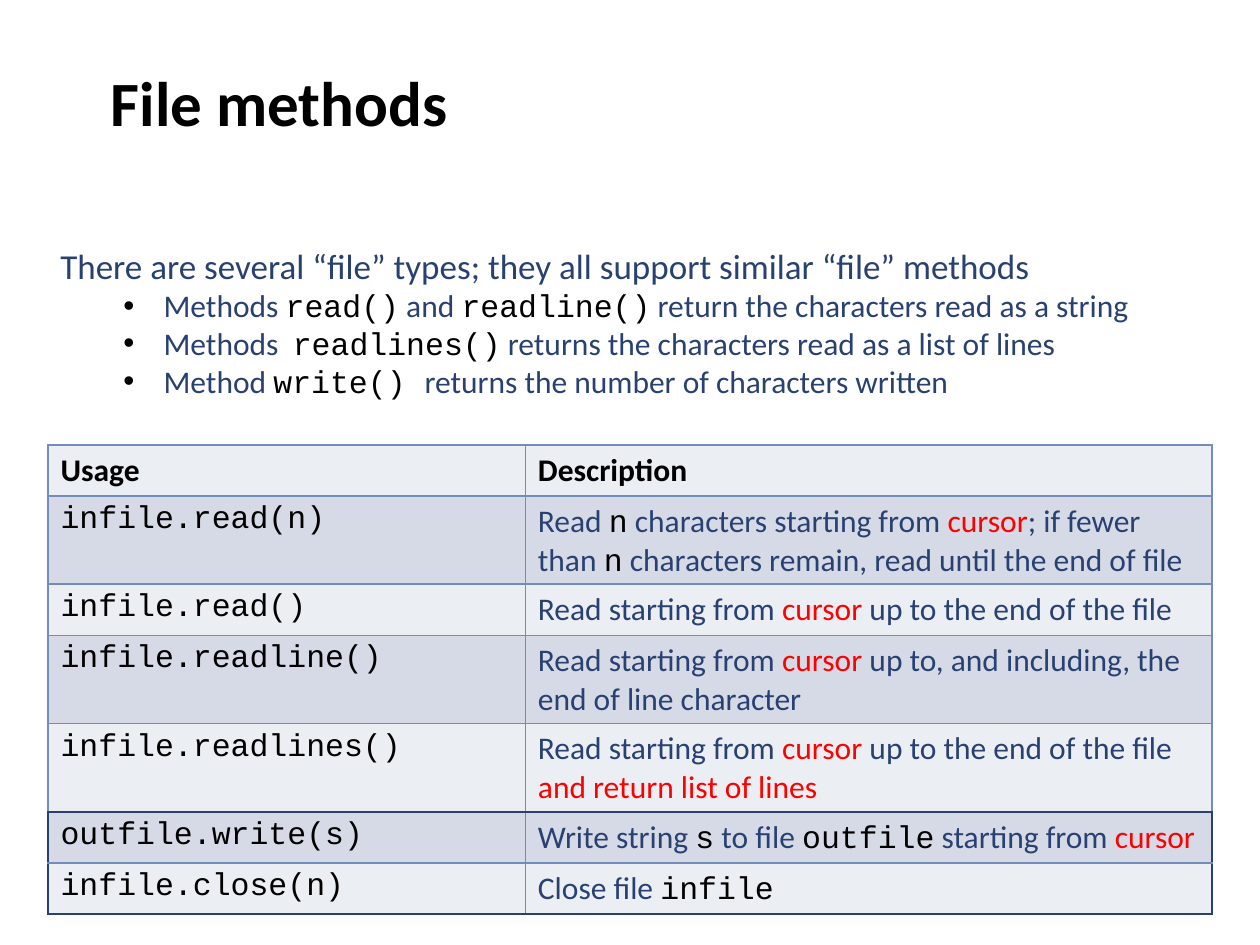
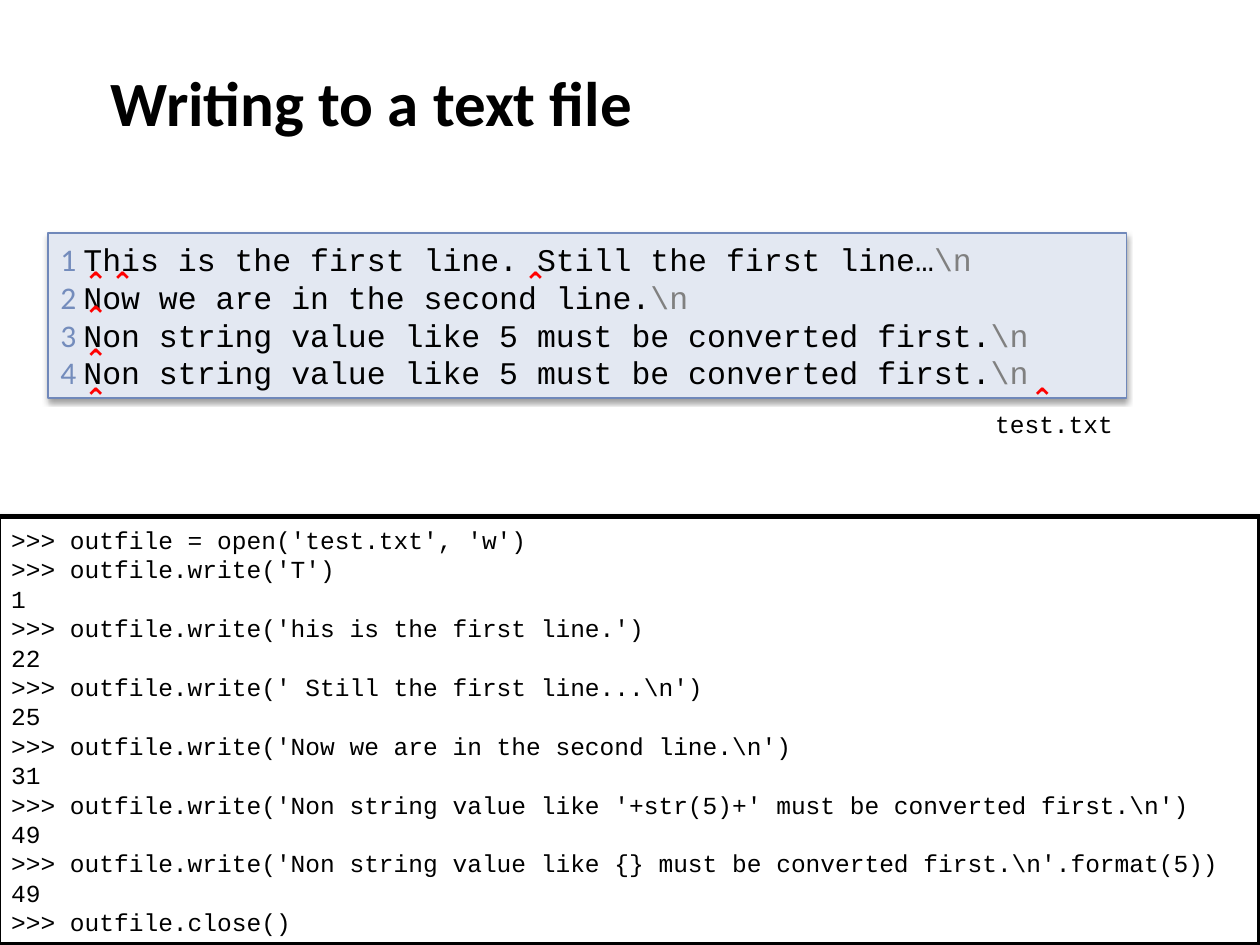
from lxml.etree import SubElement
from pptx import Presentation
from pptx.dml.color import RGBColor
from pptx.enum.shapes import MSO_SHAPE as Shape
from pptx.enum.text import MSO_ANCHOR as Anchor, PP_ALIGN as Align
from pptx.oxml.ns import qn
from pptx.util import Pt

BLACK, WHITE, NAVY, RED = "000000", "FFFFFF", "294171", "FF0000"
STEEL, GRAY = "748CBC", "808080"
HEADER_FILL, BAND_FILL = "EBEEF3", "D6DAE7"
FILE_FILL, FILE_LINE = "E3E8F2", "7088BA"

# Run styles: font, colour, bold
HEADING = ("Calibri", BLACK, True)
PROSE = ("Calibri", NAVY, False)
ALERT = ("Calibri", RED, False)
CODE = ("Courier New", BLACK, False)
NUMBER = ("Calibri", STEEL, False)
ESCAPE = ("Courier New", GRAY, False)
CARET = ("Noto Sans", RED, True)

MARGIN = 27.4
CONTENT_WIDTH = 665.3

INTRO = [(PROSE, "There are several “file” types; they all support similar “file” methods")]
RETURN_NOTES = [
    [(PROSE, "Methods "), (CODE, "read()"), (PROSE, " and "), (CODE, "readline()"),
     (PROSE, " return the characters read as a string")],
    [(PROSE, "Methods  "), (CODE, "readlines()"),
     (PROSE, " returns the characters read as a list of lines")],
    [(PROSE, "Method "), (CODE, "write() "),
     (PROSE, "returns the number of characters written")],
]

FROM_CURSOR = [(PROSE, "Read starting from "), (ALERT, "cursor ")]
METHODS = [
    ([(HEADING, "Usage")], [(HEADING, "Description")]),
    ([(CODE, "infile.read(n)")],
     [(PROSE, "Read "), (CODE, "n"), (PROSE, " characters starting from "),
      (ALERT, "cursor"), (PROSE, "; if fewer than "), (CODE, "n"),
      (PROSE, " characters remain, read until the end of file")]),
    ([(CODE, "infile.read()")], FROM_CURSOR + [(PROSE, "up to the end of the file")]),
    ([(CODE, "infile.readline()")],
     FROM_CURSOR + [(PROSE, "up to, and including, the end of line character")]),
    ([(CODE, "infile.readlines()")],
     FROM_CURSOR + [(PROSE, "up to the end of the file "),
                    (ALERT, "and return list of lines")]),
    ([(CODE, "outfile.write(s)")],
     [(PROSE, "Write string "), (CODE, "s"), (PROSE, " to file "), (CODE, "outfile"),
      (PROSE, " starting from "), (ALERT, "cursor")]),
    ([(CODE, "infile.close(n)")], [(PROSE, "Close file "), (CODE, "infile")]),
]
COLUMN_WIDTHS = (272.8, 392.5)
ROW_HEIGHT = 29.2
DARK_FRAME_START = 5  # first row of the block framed in navy

FILE_LINES = [
    "This is the first line. Still the first line…",
    "Now we are in the second line.",
    "Non string value like 5 must be converted first.",
    "Non string value like 5 must be converted first.",
]
CARET_SPOTS = [(41, 147.6), (56.2, 147.6), (292.3, 147.6),
               (41, 167), (41, 191.5), (41, 213.8), (581.8, 213.8)]
SESSION = r"""
>>> outfile = open('test.txt', 'w')
>>> outfile.write('T')
1
>>> outfile.write('his is the first line.')
22
>>> outfile.write(' Still the first line...\n')
25
>>> outfile.write('Now we are in the second line.\n')
31
>>> outfile.write('Non string value like '+str(5)+' must be converted first.\n')
49
>>> outfile.write('Non string value like {} must be converted first.\n'.format(5))
49
>>> outfile.close()
""".strip().split("\n")


def color(hex_code):
    return RGBColor.from_string(hex_code)


def write_runs(paragraph, runs, size, fixed_pitch=False):
    """Add styled runs; fixed_pitch sets lines 1.2 times the size apart."""
    paragraph.alignment = Align.LEFT
    if fixed_pitch:
        paragraph.line_spacing = Pt(round(size * 1.2, 2))
    for (font_name, hex_code, bold), text in runs:
        run = paragraph.add_run()
        run.text = text
        run.font.name = font_name
        run.font.size = Pt(size)
        run.font.bold = bold
        run.font.color.rgb = color(hex_code)


def write_lines(frame, lines, size):
    for index, runs in enumerate(lines):
        paragraph = frame.add_paragraph() if index else frame.paragraphs[0]
        write_runs(paragraph, runs, size, fixed_pitch=True)


def add_text_frame(slide, left, top, width, height, wrap=True):
    box = slide.shapes.add_textbox(Pt(left), Pt(top), Pt(width), Pt(height))
    frame = box.text_frame
    frame.word_wrap = wrap
    frame.vertical_anchor = Anchor.MIDDLE
    return frame


def add_titled_slide(deck, title):
    slide = deck.slides.add_slide(deck.slide_layouts[6])
    frame = add_text_frame(slide, 56.2, 0, 612, 116)
    write_runs(frame.paragraphs[0], [(HEADING, title)], 36)
    return slide


def add_bullet(paragraph):
    properties = paragraph._p.get_or_add_pPr()
    properties.set("marL", str(Pt(59)))
    properties.set("indent", str(Pt(-23)))
    bullet_color = SubElement(properties, qn("a:buClr"))
    SubElement(bullet_color, qn("a:srgbClr"), val=BLACK)
    SubElement(properties, qn("a:buFont"), typeface="Arial")
    SubElement(properties, qn("a:buChar"), char="•")


def add_panel(slide, bounds, fill, line, line_width, lines, size):
    """Add a rectangle with a soft shadow below it, filled with lines of text."""
    panel = slide.shapes.add_shape(Shape.RECTANGLE, *map(Pt, bounds))
    panel.fill.solid()
    panel.fill.fore_color.rgb = color(fill)
    panel.line.color.rgb = color(line)
    panel.line.width = Pt(line_width)
    panel.shadow.inherit = False
    effects = panel._element.spPr.find(qn("a:effectLst"))
    shadow = SubElement(effects, qn("a:outerShdw"), blurRad=str(Pt(3.1)),
                        dist=str(Pt(1.6)), dir="5400000", rotWithShape="0")
    shade = SubElement(shadow, qn("a:srgbClr"), val=BLACK)
    SubElement(shade, qn("a:alpha"), val="38000")
    panel.text_frame.word_wrap = True
    panel.text_frame.vertical_anchor = Anchor.MIDDLE
    write_lines(panel.text_frame, lines, size)


def set_borders(cell, dark_sides):
    properties = cell._tc.get_or_add_tcPr()
    for side in "LRTB":
        border = SubElement(properties, qn(f"a:ln{side}"), w=str(Pt(1)))
        paint = SubElement(border, qn("a:solidFill"))
        SubElement(paint, qn("a:srgbClr"), val=NAVY if side in dark_sides else STEEL)


def dark_sides_of(row, column):
    """Return the sides of a cell that lie on the navy frame."""
    if row < DARK_FRAME_START:
        return "B" if row == DARK_FRAME_START - 1 else ""
    sides = "R" if column else "L"
    if row == DARK_FRAME_START:
        sides += "T"
    if row == len(METHODS) - 1:
        sides += "B"
    return sides


def add_method_table(slide):
    table = slide.shapes.add_table(
        len(METHODS), len(COLUMN_WIDTHS), Pt(MARGIN), Pt(254.2),
        Pt(CONTENT_WIDTH), Pt(ROW_HEIGHT * len(METHODS))).table
    for column, width in zip(table.columns, COLUMN_WIDTHS):
        column.width = Pt(width)
    for row, texts in enumerate(METHODS):
        table.rows[row].height = Pt(ROW_HEIGHT)
        for column, runs in enumerate(texts):
            cell = table.cell(row, column)
            set_borders(cell, dark_sides_of(row, column))
            cell.fill.solid()
            cell.fill.fore_color.rgb = color(BAND_FILL if row % 2 else HEADER_FILL)
            write_runs(cell.text_frame.paragraphs[0], runs, 18)


def build_methods_slide(deck):
    slide = add_titled_slide(deck, "File methods")
    add_method_table(slide)
    frame = add_text_frame(slide, MARGIN, 135.4, CONTENT_WIDTH, 97.2)
    write_runs(frame.paragraphs[0], INTRO, 20, fixed_pitch=True)
    for note in RETURN_NOTES:
        paragraph = frame.add_paragraph()
        add_bullet(paragraph)
        write_runs(paragraph, note, 18, fixed_pitch=True)


def build_writing_slide(deck):
    slide = add_titled_slide(deck, "Writing to a text file")
    numbered = [[(NUMBER, f"{number} "), (CODE, text), (ESCAPE, r"\n")]
                for number, text in enumerate(FILE_LINES, 1)]
    add_panel(slide, (MARGIN, 133.2, 616.3, 94.3), FILE_FILL, FILE_LINE, 0.75,
              numbered, 18)
    for left, top in CARET_SPOTS:
        frame = add_text_frame(slide, left, top, 29.5, 26.6)
        write_runs(frame.paragraphs[0], [(CARET, "⌃")], 16)
    file_name = add_text_frame(slide, 561.6, 229.7, 82.1, 24.5, wrap=False)
    write_runs(file_name.paragraphs[0], [(CODE, "test.txt")], 14)
    add_panel(slide, (-0.7, 295.2, 720.7, 244.8), WHITE, BLACK, 3,
              [[(CODE, line)] for line in SESSION], 14)


def main():
    deck = Presentation()
    deck.slide_width, deck.slide_height = Pt(720), Pt(540)
    build_methods_slide(deck)
    build_writing_slide(deck)
    deck.save("out.pptx")


if __name__ == "__main__":
    main()
